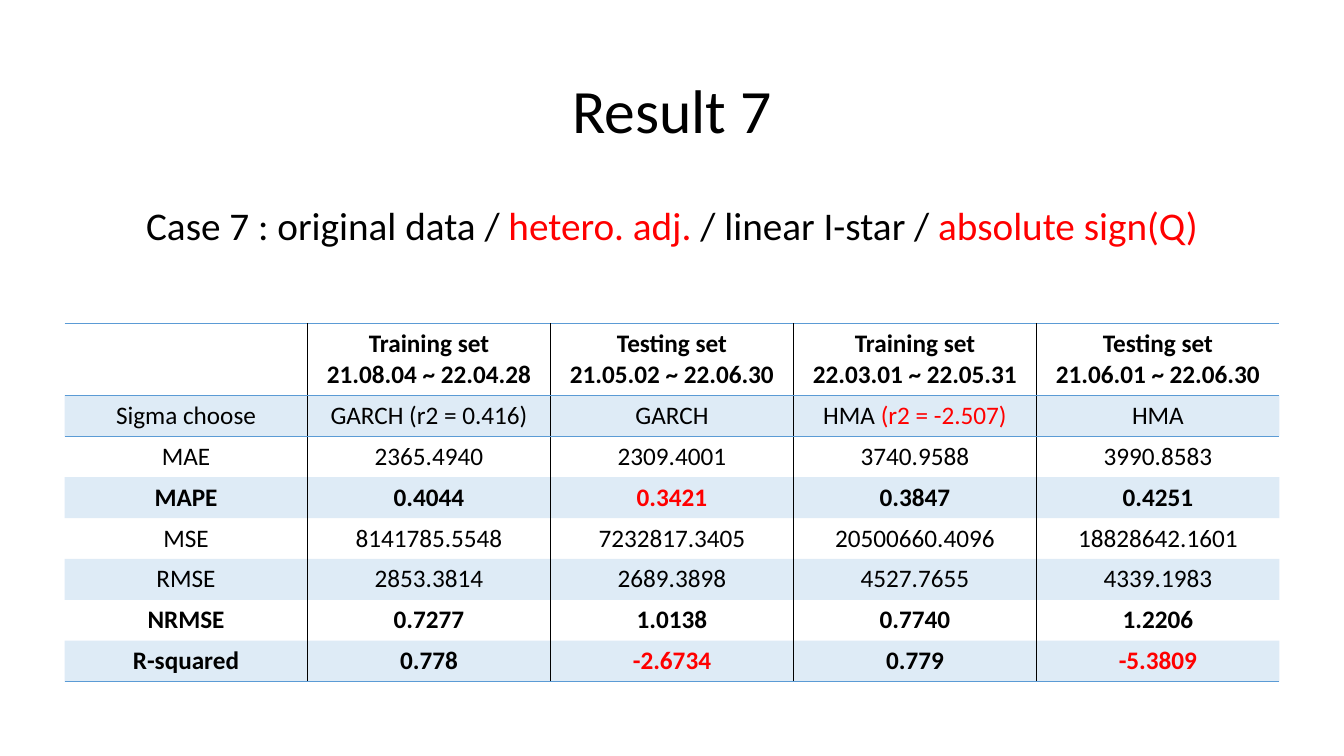
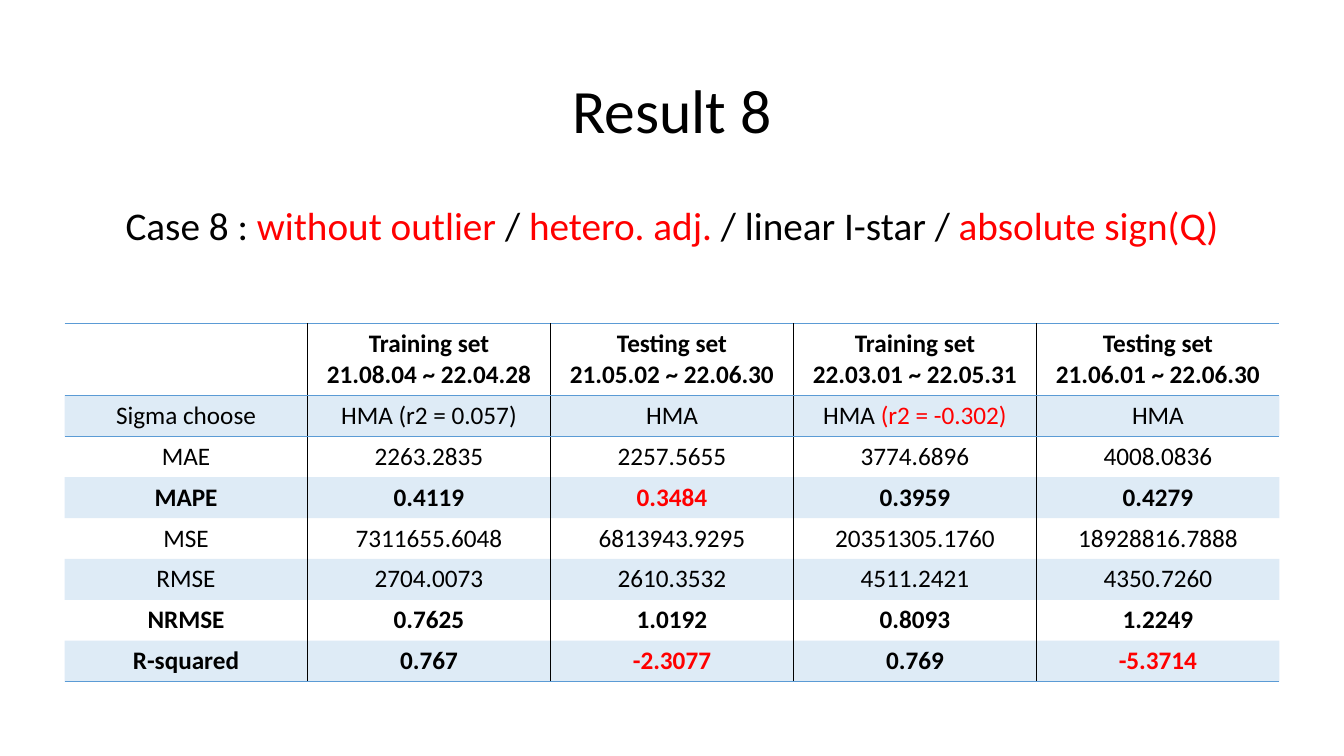
"""Build the result slides, each with a title, a case line and a table of scores."""
from lxml.etree import SubElement
from pptx import Presentation
from pptx.dml.color import RGBColor
from pptx.enum.text import MSO_ANCHOR, PP_ALIGN
from pptx.oxml.ns import qn
from pptx.util import Inches, Pt

WIDE, HIGH = 13.33, 7.5
COL, ROW = 2.41, 0.4
FONT = "Calibri"
BLACK = RGBColor(0x00, 0x00, 0x00)
RED = RGBColor(0xFF, 0x00, 0x00)
BLUE = RGBColor(0x5B, 0x9B, 0xD5)
PLAIN = "{2D5ABB26-0587-4C30-8999-92F81FD0307C}"
MARK = "*"
BOLD = {"MAPE", "NRMSE", "R-squared"}
LABELS = ["Sigma choose", "MAE", "MAPE", "MSE", "RMSE", "NRMSE", "R-squared"]
HEAD = [
    "",
    "Training set\n21.08.04 ~ 22.04.28",
    "Testing set\n21.05.02 ~ 22.06.30",
    "Training set\n22.03.01 ~ 22.05.31",
    "Testing set\n21.06.01 ~ 22.06.30",
]
CASES = [
    (
        "Result 7",
        "Case 7 : original data / *hetero. adj. */ linear I-star / *absolute sign(Q)*",
        [
            ["GARCH (r2 = 0.416)", "GARCH", "HMA *(r2 = -2.507)*", "HMA"],
            ["2365.4940", "2309.4001", "3740.9588", "3990.8583"],
            ["0.4044", "*0.3421*", "0.3847", "0.4251"],
            ["8141785.5548", "7232817.3405", "20500660.4096", "18828642.1601"],
            ["2853.3814", "2689.3898", "4527.7655", "4339.1983"],
            ["0.7277", "1.0138", "0.7740", "1.2206"],
            ["0.778", "*-2.6734*", "0.779", "*-5.3809*"],
        ],
    ),
    (
        "Result 8",
        "Case 8 : *without outlier* / *hetero. adj. */ linear I-star / *absolute sign(Q)*",
        [
            ["HMA (r2 = 0.057)", "HMA", "HMA *(r2 = -0.302)*", "HMA"],
            ["2263.2835", "2257.5655", "3774.6896", "4008.0836"],
            ["0.4119", "*0.3484*", "0.3959", "0.4279"],
            ["7311655.6048", "6813943.9295", "20351305.1760", "18928816.7888"],
            ["2704.0073", "2610.3532", "4511.2421", "4350.7260"],
            ["0.7625", "1.0192", "0.8093", "1.2249"],
            ["0.767", "*-2.3077*", "0.769", "*-5.3714*"],
        ],
    ),
]


def area(cols, top, rows):
    """Return a centred box, given in columns and rows of the grid."""
    left = (WIDE - cols * COL) / 2
    return [Inches(n) for n in (left, top * ROW, cols * COL, rows * ROW)]


def place(shape, cols, top, rows):
    """Move a placeholder to a centred box of the grid."""
    shape.left, shape.top, shape.width, shape.height = area(cols, top, rows)


def write(para, text, size, bold=False):
    """Fill a centred paragraph, with marked parts in red."""
    para.alignment = PP_ALIGN.CENTER
    font = para.font
    font.name, font.size, font.bold = FONT, Pt(size), bold
    font.color.rgb = BLACK
    for i, part in enumerate(text.split(MARK)):
        if part:
            run = para.add_run()
            run.text = part
            if i % 2:
                run.font.color.rgb = RED


def add_title(slide, text):
    """Set the slide title."""
    title = slide.shapes.title
    place(title, 4.78, 1, 3.63)
    title.text_frame.vertical_anchor = MSO_ANCHOR.MIDDLE
    para = title.text_frame.paragraphs[0]
    para.line_spacing = 0.9
    write(para, text, 44)


def add_case(slide, text):
    """Set the case line in the body, without a bullet."""
    body = slide.placeholders[1]
    place(body, 4.78, 5, 11.9)
    para = body.text_frame.paragraphs[0]
    para.line_spacing = 0.9
    para.space_before = Pt(0)
    props = para._p.get_or_add_pPr()
    props.set("marL", "0")
    props.set("indent", "0")
    SubElement(props, qn("a:buNone"))
    write(para, text, 28)


def add_edge(cell, side, color, width):
    """Draw one border of a cell."""
    line = SubElement(cell._tc.get_or_add_tcPr(), qn("a:ln" + side), w=str(Pt(width)))
    fill = SubElement(line, qn("a:solidFill"))
    SubElement(fill, qn("a:srgbClr"), val=str(color))


def add_rules(cell, row, col, last):
    """Draw the inner upright rules and the level rules of head and foot."""
    if col > 0:
        add_edge(cell, "L", BLACK, 1 if col % 2 else 0.5)
    if col < len(HEAD) - 1:
        add_edge(cell, "R", BLACK, 0.5 if col % 2 else 1)
    if row < 2:
        add_edge(cell, "T", BLUE, 1)
    if row in (0, last):
        add_edge(cell, "B", BLUE, 1)


def tint(cell, row):
    """Shade every second row with a clear blue."""
    if row % 2 == 0:
        cell.fill.background()
        return
    cell.fill.solid()
    cell.fill.fore_color.rgb = BLUE
    color = cell._tc.tcPr.find(qn("a:solidFill")).find(qn("a:srgbClr"))
    SubElement(color, qn("a:alpha"), val="20000")


def add_grid(slide, scores):
    """Add the table of scores."""
    rows = [HEAD] + [[label, *vals] for label, vals in zip(LABELS, scores)]
    box = area(len(HEAD), 8.03, len(rows))
    table = slide.shapes.add_table(len(rows), len(HEAD), *box).table
    table._tbl.tblPr.find(qn("a:tableStyleId")).text = PLAIN
    for col in table.columns:
        col.width = Inches(COL)
    for r, texts in enumerate(rows):
        table.rows[r].height = Inches(ROW * (1 if r else 1.75))
        for c, text in enumerate(texts):
            cell = table.cell(r, c)
            add_rules(cell, r, c, len(rows) - 1)
            tint(cell, r)
            frame = cell.text_frame
            for i, line in enumerate(text.split("\n")):
                para = frame.add_paragraph() if i else frame.paragraphs[0]
                write(para, line, 18, r == 0 or texts[0] in BOLD)


def main():
    """Build and save the deck."""
    deck = Presentation()
    deck.slide_width, deck.slide_height = Inches(WIDE), Inches(HIGH)
    for title, case, scores in CASES:
        slide = deck.slides.add_slide(deck.slide_layouts[1])
        add_title(slide, title)
        add_case(slide, case)
        add_grid(slide, scores)
    deck.save("out.pptx")


if __name__ == "__main__":
    main()
